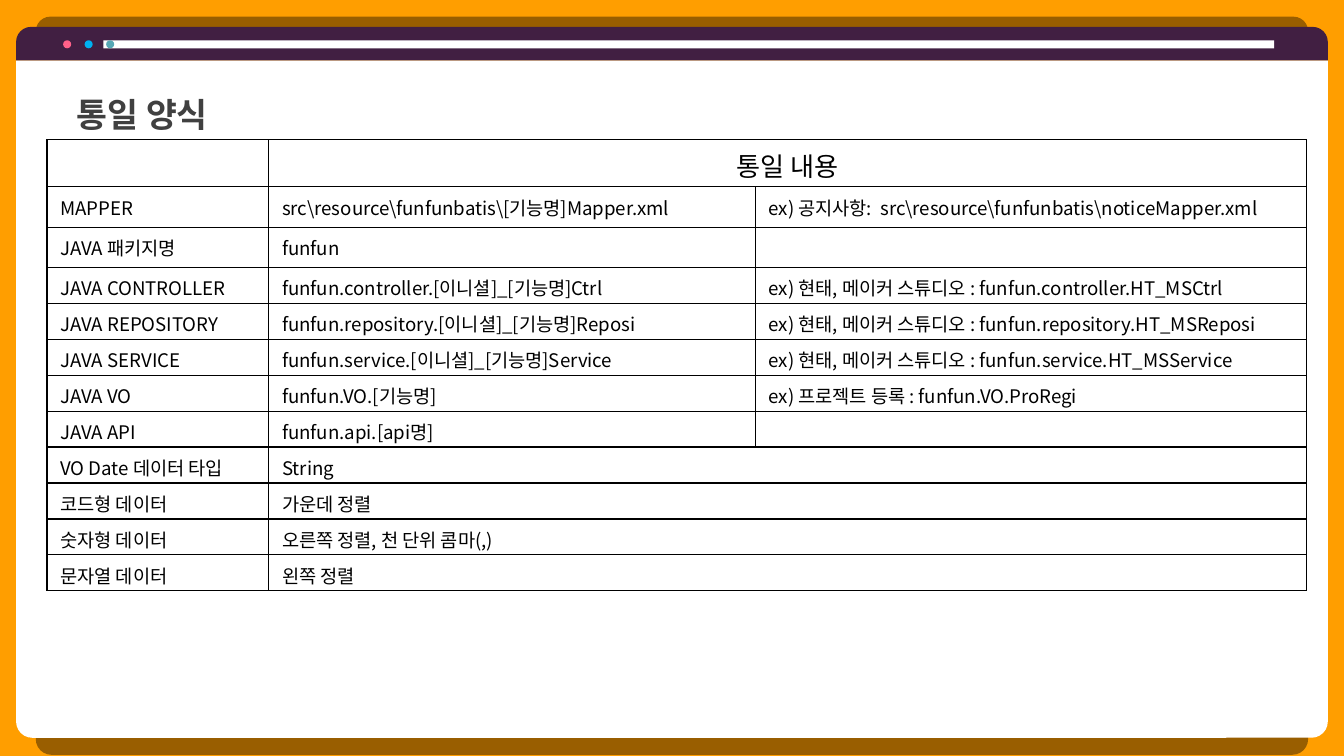
"""Build the naming convention slide: a browser-style window with a table."""
from dataclasses import dataclass
from typing import Optional

from lxml import etree
from pptx import Presentation
from pptx.dml.color import RGBColor
from pptx.enum.shapes import MSO_SHAPE
from pptx.enum.text import MSO_ANCHOR, MSO_AUTO_SIZE, PP_ALIGN
from pptx.oxml import parse_xml
from pptx.oxml.ns import nsdecls, qn
from pptx.util import Inches, Pt

WINDOW_PART = MSO_SHAPE.ROUND_2_SAME_RECTANGLE
RECTANGLE = MSO_SHAPE.RECTANGLE
OVAL = MSO_SHAPE.OVAL
MIDDLE = MSO_ANCHOR.MIDDLE
FIT_SHAPE = MSO_AUTO_SIZE.SHAPE_TO_FIT_TEXT
LEFT, CENTER = PP_ALIGN.LEFT, PP_ALIGN.CENTER
TITLE_ONLY = 5
SLIDE_WIDTH = 10
SLIDE_HEIGHT = SLIDE_WIDTH * 9 / 16


@dataclass(frozen=True)
class Theme:
    font: str = "Noto Sans CJK KR"
    background: str = "FF9E00"
    white: str = "FFFFFF"
    bar: str = "411F42"
    title: str = "404040"
    ink: str = "000000"
    dots: tuple[str, ...] = ("FF6189", "00B0F0", "57A7B5")
    title_size: float = 18
    header_size: float = 14
    body_size: float = 10
    border: float = 0.75


@dataclass(frozen=True)
class Shadow:
    distance: float
    angle: int
    anchor: str


@dataclass(frozen=True)
class Block:
    kind: int
    box: tuple[float, float, float, float]
    color: str
    corners: tuple[float, ...] = ()
    shadow: Optional[Shadow] = None


THEME = Theme()
MARGIN = 0.12
WINDOW_WIDTH = SLIDE_WIDTH - 2 * MARGIN
DOT_SIZE, DOT_TOP, DOT_LEFT, DOT_STEP = 0.06, 0.3, 0.47, 0.16

BLOCKS = [
    Block(WINDOW_PART, (MARGIN, 0.45, WINDOW_WIDTH, 5.04), THEME.white,
          (0, 0.024), Shadow(20, 90, "t")),
    Block(WINDOW_PART, (MARGIN, 0.2, WINDOW_WIDTH, 0.25), THEME.bar,
          (0.447, 0), Shadow(6, 270, "b")),
    Block(RECTANGLE, (0.77, DOT_TOP, 8.71, DOT_SIZE), THEME.white),
] + [
    Block(OVAL, (DOT_LEFT + index * DOT_STEP, DOT_TOP, DOT_SIZE, DOT_SIZE), color)
    for index, color in enumerate(THEME.dots)
]

TABLE_LEFT, TABLE_TOP, TABLE_HEIGHT = 0.35, 1.04, 3.35
COLUMN_WIDTHS = (1.65, 3.62, 4.1)
TALL_ROWS = (0.35, 0.3, 0.3)
ROWS = [
    ("", "통일 내용"),
    ("MAPPER", r"src\resource\funfunbatis\[기능명]Mapper.xml",
     r"ex) 공지사항:  src\resource\funfunbatis\noticeMapper.xml"),
    ("JAVA 패키지명", "funfun", ""),
    ("JAVA CONTROLLER", "funfun.controller.[이니셜]_[기능명]Ctrl",
     "ex) 현태, 메이커 스튜디오 : funfun.controller.HT_MSCtrl"),
    ("JAVA REPOSITORY", "funfun.repository.[이니셜]_[기능명]Reposi",
     "ex) 현태, 메이커 스튜디오 : funfun.repository.HT_MSReposi"),
    ("JAVA SERVICE", "funfun.service.[이니셜]_[기능명]Service",
     "ex) 현태, 메이커 스튜디오 : funfun.service.HT_MSService"),
    ("JAVA VO", "funfun.VO.[기능명]", "ex) 프로젝트 등록 : funfun.VO.ProRegi"),
    ("JAVA API", "funfun.api.[api명]", ""),
    ("VO Date 데이터 타입", "String"),
    ("코드형 데이터", "가운데 정렬"),
    ("숫자형 데이터", "오른쪽 정렬, 천 단위 콤마(,)"),
    ("문자열 데이터", "왼쪽 정렬"),
]


def add_run(paragraph, text: str, size: float, color: str, bold: bool = False) -> None:
    run = paragraph.add_run()
    run.text = text
    run.font.name = THEME.font
    run.font.size = Pt(size)
    run.font.bold = bold
    run.font.color.rgb = RGBColor.from_string(color)
    east_asian = etree.SubElement(run.font._element, qn("a:ea"))
    east_asian.set("typeface", THEME.font)


def add_shadow(shape, shadow: Shadow) -> None:
    effects = shape._element.spPr.find(qn("a:effectLst"))
    effects.append(parse_xml(
        f'<a:outerShdw {nsdecls("a")} blurRad="0" dist="{Pt(shadow.distance)}" '
        f'dir="{shadow.angle * 60000}" sx="97000" sy="97000" '
        f'algn="{shadow.anchor}" rotWithShape="0"><a:srgbClr val="{THEME.ink}">'
        '<a:alpha val="40000"/></a:srgbClr></a:outerShdw>'))


def add_block(slide, block: Block) -> None:
    shape = slide.shapes.add_shape(block.kind, *map(Inches, block.box))
    shape.fill.solid()
    shape.fill.fore_color.rgb = RGBColor.from_string(block.color)
    shape.line.fill.background()
    shape.shadow.inherit = False
    for index, corner in enumerate(block.corners):
        shape.adjustments[index] = corner
    if block.shadow:
        add_shadow(shape, block.shadow)


def format_title(slide, text: str) -> None:
    title = slide.shapes.title
    slide.shapes._spTree.append(title._element)
    title.left, title.top, title.width, title.height = map(
        Inches, (0.5, 0.53, 7.21, 0.49))
    frame = title.text_frame
    frame.word_wrap = True
    frame.auto_size = FIT_SHAPE
    frame.vertical_anchor = MIDDLE
    frame.margin_left = frame.margin_right = Inches(0.07)
    frame.margin_top = frame.margin_bottom = Inches(0.04)
    paragraph = frame.paragraphs[0]
    paragraph.alignment = LEFT
    paragraph.line_spacing = 1.5
    add_run(paragraph, text, THEME.title_size, THEME.title, bold=True)


def format_cell(cell, text: str, size: float, alignment: int) -> None:
    cell.fill.background()
    properties = cell._tc.get_or_add_tcPr()
    for index, side in enumerate("LRTB"):
        properties.insert(index, parse_xml(
            f'<a:ln{side} {nsdecls("a")} w="{Pt(THEME.border)}"><a:solidFill>'
            f'<a:srgbClr val="{THEME.ink}"/></a:solidFill></a:ln{side}>'))
    paragraph = cell.text_frame.paragraphs[0]
    paragraph.alignment = alignment
    if text:
        add_run(paragraph, text, size, THEME.ink)
    else:
        end = etree.SubElement(paragraph._p, qn("a:endParaRPr"))
        end.set("sz", str(int(size * 100)))


def add_rules_table(slide) -> None:
    short_row = (TABLE_HEIGHT - sum(TALL_ROWS)) / (len(ROWS) - len(TALL_ROWS))
    heights = TALL_ROWS + (short_row,) * (len(ROWS) - len(TALL_ROWS))
    table = slide.shapes.add_table(
        len(ROWS), len(COLUMN_WIDTHS), Inches(TABLE_LEFT), Inches(TABLE_TOP),
        Inches(sum(COLUMN_WIDTHS)), Inches(TABLE_HEIGHT)).table
    table.first_row = table.horz_banding = False
    for column, width in zip(table.columns, COLUMN_WIDTHS):
        column.width = Inches(width)
    for row_index, (texts, height) in enumerate(zip(ROWS, heights)):
        table.rows[row_index].height = Inches(height)
        is_header = row_index == 0
        for column_index in range(len(COLUMN_WIDTHS)):
            text = texts[column_index] if column_index < len(texts) else ""
            large = is_header and column_index == 1
            format_cell(table.cell(row_index, column_index), text,
                        THEME.header_size if large else THEME.body_size,
                        CENTER if large else LEFT)
        if len(texts) < len(COLUMN_WIDTHS):
            table.cell(row_index, 1).merge(table.cell(row_index, 2))


def main() -> None:
    presentation = Presentation()
    presentation.slide_width = Inches(SLIDE_WIDTH)
    presentation.slide_height = Inches(SLIDE_HEIGHT)
    slide = presentation.slides.add_slide(presentation.slide_layouts[TITLE_ONLY])
    slide.background.fill.solid()
    slide.background.fill.fore_color.rgb = RGBColor.from_string(THEME.background)
    for block in BLOCKS:
        add_block(slide, block)
    format_title(slide, "통일 양식")
    add_rules_table(slide)
    presentation.save("out.pptx")


if __name__ == "__main__":
    main()
